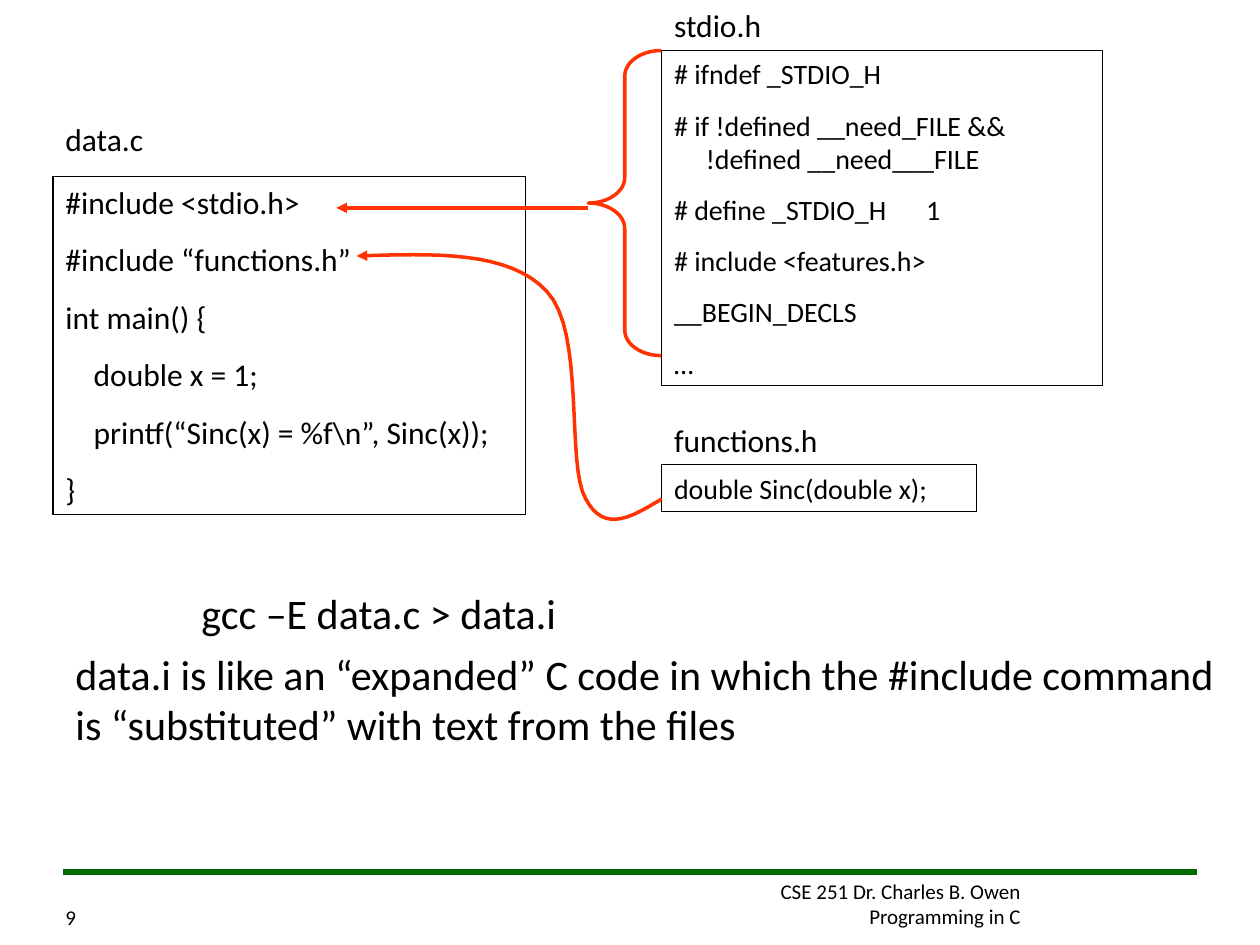
from lxml import etree
from pptx import Presentation
from pptx import util as u
from pptx.dml.color import RGBColor
from pptx.enum import shapes, text
from pptx.oxml import ns

Cm, Pt = u.Cm, u.Pt
HUES = {"ink": "000000", "red": "FF3300", "green": "006C00"}

deck = Presentation()
deck.slide_width, deck.slide_height = Cm(25.4), Cm(19.05)
slide = deck.slides.add_slide(deck.slide_layouts[1])
title = slide.shapes.title
title.element.getparent().remove(title.element)
parts = slide.shapes


def write(box, rows, size, gap=0, align="LEFT", anchor="TOP"):
    frame = box.text_frame
    look = {"word_wrap": True, "auto_size": text.MSO_AUTO_SIZE.NONE,
            "vertical_anchor": getattr(text.MSO_ANCHOR, anchor),
            "margin_left": Cm(0.25), "margin_right": Cm(0.25),
            "margin_top": Cm(0.13), "margin_bottom": Cm(0.13)}
    for name, value in look.items():
        setattr(frame, name, value)
    for i, (words, left, hang) in enumerate(rows):
        para = frame.add_paragraph() if i else frame.paragraphs[0]
        para.text = words
        para.alignment = getattr(text.PP_ALIGN, align)
        para.space_before = Pt(gap)
        props = para._p.get_or_add_pPr()
        props.set("marL", str(Cm(left)))
        props.set("indent", str(Cm(hang)))
        etree.SubElement(props, ns.qn("a:buNone"))
        for name, value in {"size": Pt(size), "name": "Calibri"}.items():
            setattr(para.font, name, value)
        para.font.color.rgb = RGBColor.from_string(HUES["ink"])


def stroke(item, hue, width, arrow=False):
    item.line.color.rgb = RGBColor.from_string(HUES[hue])
    item.line.width = Pt(width)
    props = item.element.spPr
    if arrow:
        etree.SubElement(props.find(ns.qn("a:ln")), ns.qn("a:tailEnd"), type="triangle")
    etree.SubElement(props, ns.qn("a:effectLst"))


rule = parts.add_connector(shapes.MSO_CONNECTOR.STRAIGHT,
                           Cm(24.13), Cm(17.58), Cm(1.27), Cm(17.58))
stroke(rule, "green", 3)

labels = [
    ((12.27, 17.58, 8.56, 1.27), ["CSE 251 Dr. Charles B. Owen", "Programming in C"],
     12, 0, "RIGHT", "TOP"),
    ((1.07, 17.58, 1.02, 1.3), ["9"], 12, 0, "LEFT", "BOTTOM"),
    ((1.07, 2.29, 3.38, 1.02), ["data.c"], 18, 11.2, "LEFT", "TOP"),
    ((13.34, 8.36, 9.09, 1.02), ["functions.h"], 18, 11.2, "LEFT", "TOP"),
    ((13.34, 0, 3.38, 1.02), ["stdio.h"], 18, 11.2, "LEFT", "TOP"),
]
for place, rows, size, gap, align, anchor in labels:
    label = parts.add_textbox(*map(Cm, place))
    write(label, [(row, 0, 0) for row in rows], size, gap, align, anchor)

files = [
    ((1.07, 3.56, 9.53, 6.81), 18, 11.2, [
        ("#include <stdio.h>", 0, 0),
        ("#include “functions.h”", 0, 0),
        ("int main() {", 0, 0),
        ("double x = 1;", 0.57, 0),
        ("printf(“Sinc(x) = %f\\n”, Sinc(x));", 0.57, 0),
        ("}", 0, 0)]),
    ((13.34, 9.37, 6.35, 0.94), 16, 10, [("double Sinc(double x);", 0, 0)]),
    ((13.34, 1.02, 8.89, 6.76), 16, 10, [
        ("# ifndef _STDIO_H", 0, 0),
        ("# if !defined __need_FILE &&\v!defined __need___FILE", 0.64, -0.64),
        ("# define _STDIO_H\t1", 0, 0),
        ("# include <features.h>", 0, 0),
        ("__BEGIN_DECLS", 0, 0),
        ("…", 0, 0)]),
]
for place, size, gap, rows in files:
    box = parts.add_shape(shapes.MSO_SHAPE.RECTANGLE, *map(Cm, place))
    box.fill.background()
    stroke(box, "ink", 0.75)
    write(box, rows, size, gap)

brace = parts.add_shape(shapes.MSO_SHAPE.LEFT_BRACE, Cm(11.86), Cm(1.02), Cm(1.47), Cm(6.15))
brace.adjustments[0] = 0.35
brace.fill.background()
stroke(brace, "red", 2)

knots = [(13.34, 10.06), (12.75, 10.41), (12.19, 10.77), (11.81, 10.06), (11.4, 9.37),
         (11.81, 6.68), (11.02, 5.87), (10.26, 5.05), (8.74, 5.11), (7.19, 5.16)]
steps = 16
trail = []
for start in range(0, len(knots) - 1, 3):
    for step in range(1, steps + 1):
        t = step / steps
        mix = ((1 - t) ** 3, 3 * t * (1 - t) ** 2, 3 * t * t * (1 - t), t ** 3)
        trail.append(tuple(Cm(sum(m * k[axis] for m, k in zip(mix, knots[start:start + 4])))
                           for axis in (0, 1)))
pen = parts.build_freeform(*map(Cm, knots[0]))
pen.add_line_segments(trail, close=False)
curve = pen.convert_to_shape()
curve.fill.background()
stroke(curve, "red", 2, arrow=True)

arrow = parts.add_connector(shapes.MSO_CONNECTOR.STRAIGHT,
                            Cm(11.86), Cm(4.19), Cm(6.78), Cm(4.19))
stroke(arrow, "red", 2, arrow=True)

body = slide.placeholders[1]
spot = {"left": 1.27, "top": 11.71, "width": 23.5, "height": 3.53}
for name, value in spot.items():
    setattr(body, name, Cm(value))
write(body, [("gcc –E data.c > data.i", 2.54, 0),
             ("data.i is like an “expanded” C code in which the #include command "
              "is “substituted” with text from the files", 0, 0)], 24, 6)

deck.save("out.pptx")
